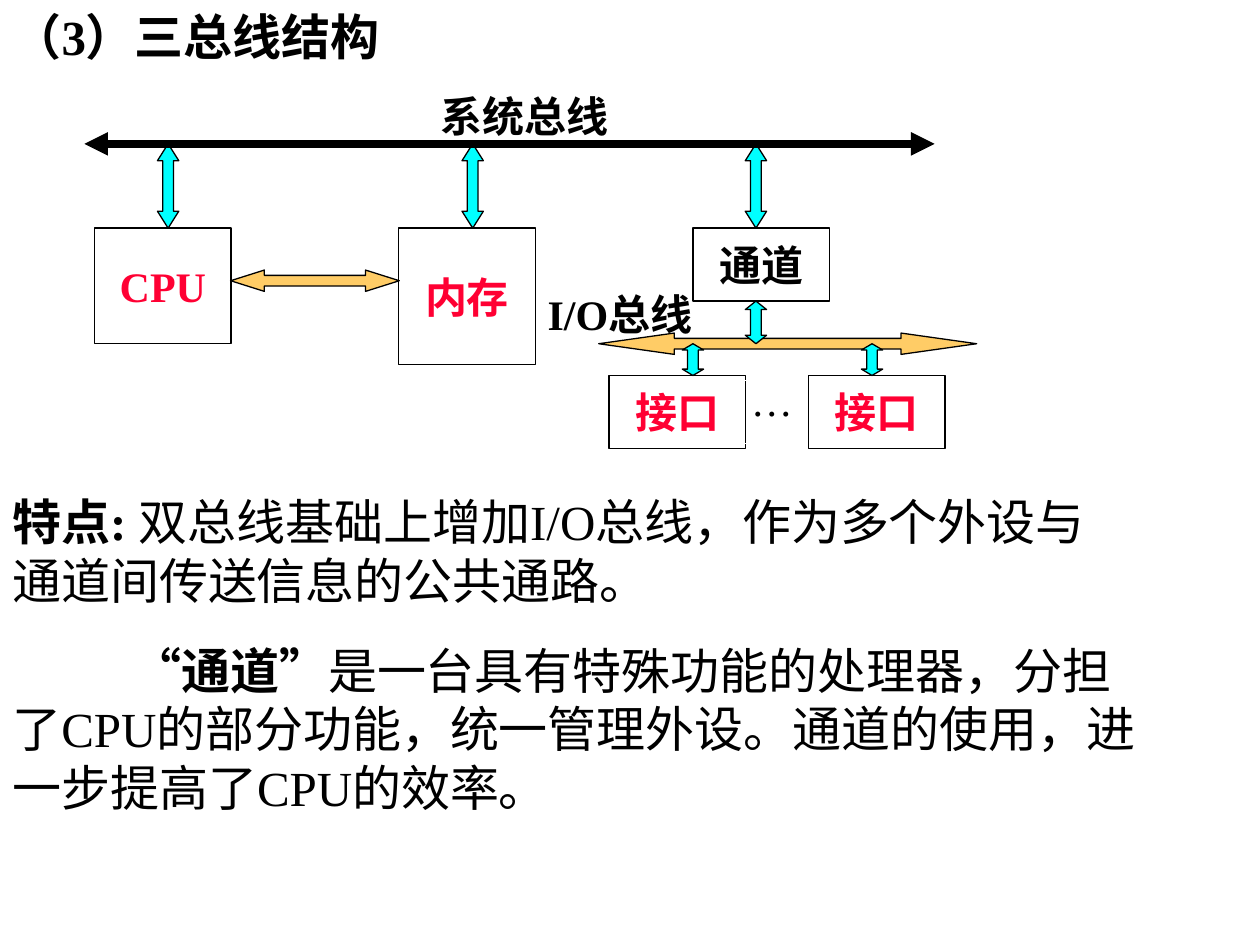
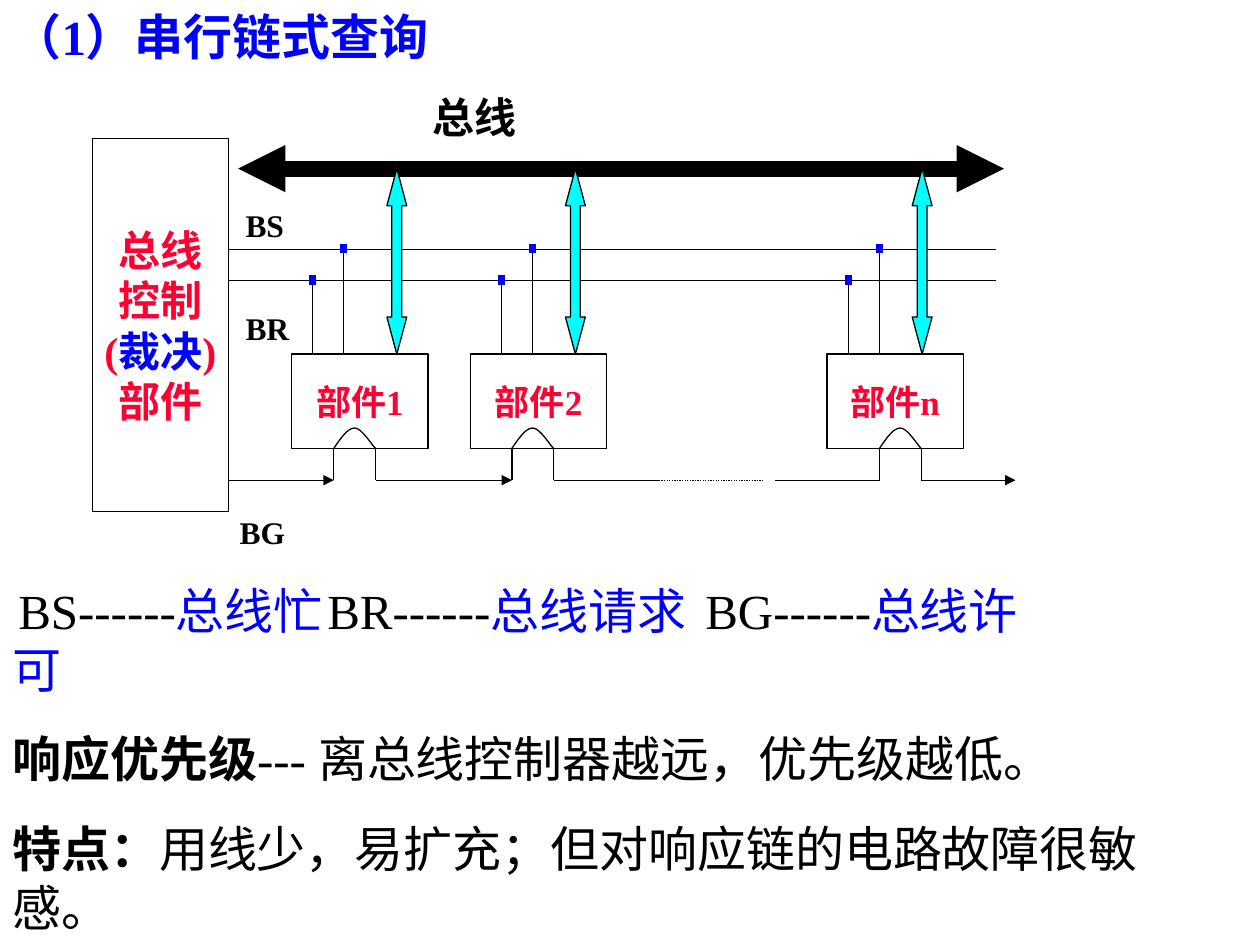
from dataclasses import dataclass

import lxml.etree
import pptx
import pptx.dml.color
import pptx.enum.dml
import pptx.enum.shapes
import pptx.enum.text
import pptx.oxml.ns
import pptx.util
from pptx.util import Cm

# Shared style
BLACK = pptx.dml.color.RGBColor(0x00, 0x00, 0x00)
WHITE = pptx.dml.color.RGBColor(0xFF, 0xFF, 0xFF)
RED = pptx.dml.color.RGBColor(0xFF, 0x00, 0x33)
BLUE = pptx.dml.color.RGBColor(0x00, 0x00, 0xFF)
CYAN = pptx.dml.color.RGBColor(0x00, 0xFF, 0xFF)
ORANGE = pptx.dml.color.RGBColor(0xFF, 0xCC, 0x66)
FONT = "Times New Roman"
BODY_SIZE = 28
BODY_GAP = 17.5
THIN = 0.75
ARROW_WIDTH = 0.43
BOX_WIDTH = 2.75
LINE_BREAK = "\n"
SHAPES = pptx.enum.shapes.MSO_SHAPE


@dataclass(frozen=True)
class Run:
    text: str
    color: pptx.dml.color.RGBColor = BLACK
    bold: bool = False
    size: float = BODY_SIZE


@dataclass(frozen=True)
class Paragraph:
    runs: tuple[Run, ...]
    indent: float = 0
    tabs: tuple[float, ...] = ()


@dataclass(frozen=True)
class Area:
    left: float
    top: float
    width: float
    height: float

    def lengths(self) -> tuple:
        return Cm(self.left), Cm(self.top), Cm(self.width), Cm(self.height)


@dataclass(frozen=True)
class Unit:
    """A bus unit: its box and the positions of its signal lines."""
    name: str
    left: float
    request: float
    busy: float
    data: float
    grant: float


def label(text: str, size: float = 24, color=BLACK, bold: bool = True) -> list[Paragraph]:
    return [Paragraph((Run(text, color, bold, size),))]


# Drawing functions
def add_element(parent, tag: str, **attributes: str):
    return lxml.etree.SubElement(parent, pptx.oxml.ns.qn(tag), **attributes)


def write(text_frame, paragraphs: list[Paragraph], gap: float = 0, centered: bool = False) -> None:
    alignment = pptx.enum.text.PP_ALIGN.CENTER if centered else pptx.enum.text.PP_ALIGN.LEFT
    for index, content in enumerate(paragraphs):
        paragraph = text_frame.add_paragraph() if index else text_frame.paragraphs[0]
        properties = paragraph._p.get_or_add_pPr()
        if content.indent:
            properties.set("indent", str(Cm(content.indent)))
        if content.tabs:
            tab_list = add_element(properties, "a:tabLst")
            for position in content.tabs:
                add_element(tab_list, "a:tab", pos=str(Cm(position)), algn="l")
        paragraph.alignment = alignment
        paragraph.space_before = pptx.util.Pt(gap if index else 0)
        for part in content.runs:
            if part.text == LINE_BREAK:
                paragraph.add_line_break()
                continue
            run = paragraph.add_run()
            run.text = part.text
            run.font.name = FONT
            run.font.size = pptx.util.Pt(part.size)
            run.font.bold = part.bold
            run.font.color.rgb = part.color


def add_text(slide, area: Area, paragraphs: list[Paragraph], gap: float = 0,
             border=None, wrap: bool = True) -> None:
    shape = slide.shapes.add_textbox(*area.lengths())
    shape.text_frame.word_wrap = wrap
    if border is not None:
        shape.line.color.rgb = border
        shape.line.width = pptx.util.Pt(THIN)
    write(shape.text_frame, paragraphs, gap)


def add_titled_slide(presentation, title: str, color):
    slide = presentation.slides.add_slide(presentation.slide_layouts.get_by_name("Title Only"))
    shape = slide.shapes.title
    shape.left, shape.top, shape.width, shape.height = Area(0, 0, 23.06, 1.5).lengths()
    shape.text_frame.auto_size = pptx.enum.text.MSO_AUTO_SIZE.NONE
    shape.text_frame.vertical_anchor = pptx.enum.text.MSO_ANCHOR.TOP
    write(shape.text_frame, label(title, BODY_SIZE, color))
    return slide


def add_preset(slide, kind, area: Area, fill):
    shape = slide.shapes.add_shape(kind, *area.lengths())
    shape.shadow.inherit = False
    shape.fill.solid()
    shape.fill.fore_color.rgb = fill
    shape.line.color.rgb = BLACK
    shape.line.width = pptx.util.Pt(THIN)
    return shape


def add_box(slide, area: Area, paragraphs: list[Paragraph]) -> None:
    shape = add_preset(slide, SHAPES.RECTANGLE, area, WHITE)
    shape.text_frame.word_wrap = False
    shape.text_frame.vertical_anchor = pptx.enum.text.MSO_ANCHOR.MIDDLE
    write(shape.text_frame, paragraphs, centered=True)


def add_block_arrow(slide, kind, area: Area, fill) -> None:
    """Double arrow whose heads each take a fifth of its length."""
    shape = add_preset(slide, kind, area, fill)
    longer, shorter = max(area.width, area.height), min(area.width, area.height)
    # The library names the guides of the vertical arrow wrongly, so they are set here
    guides = shape._element.spPr.find(pptx.oxml.ns.qn("a:prstGeom")).get_or_add_avLst()
    for guide in list(guides):
        guides.remove(guide)
    for name, ratio in (("adj1", 0.5), ("adj2", 0.2 * longer / shorter)):
        add_element(guides, "a:gd", name=name, fmla=f"val {round(ratio * 100000)}")


def add_vertical_arrow(slide, center: float, top: float, bottom: float,
                       width: float = ARROW_WIDTH) -> None:
    area = Area(center - width / 2, top, width, bottom - top)
    add_block_arrow(slide, SHAPES.UP_DOWN_ARROW, area, CYAN)


def add_horizontal_arrow(slide, left: float, right: float, center: float) -> None:
    area = Area(left, center - ARROW_WIDTH / 2, right - left, ARROW_WIDTH)
    add_block_arrow(slide, SHAPES.LEFT_RIGHT_ARROW, area, ORANGE)


def add_line(slide, start: tuple[float, float], end: tuple[float, float], width: float = THIN,
             color=BLACK, ends: tuple[str, ...] = (), dotted: bool = False) -> None:
    connector = slide.shapes.add_connector(
        pptx.enum.shapes.MSO_CONNECTOR.STRAIGHT, *(Cm(value) for value in start + end))
    connector.line.color.rgb = color
    connector.line.width = pptx.util.Pt(width)
    if dotted:
        connector.line.dash_style = pptx.enum.dml.MSO_LINE.ROUND_DOT
    line_element = connector.line._get_or_add_ln()
    for end_name in ends:
        add_element(line_element, f"a:{end_name}", type="triangle")
    add_element(connector._element.spPr, "a:effectLst")


BOTH_ENDS = ("headEnd", "tailEnd")
TAIL_END = ("tailEnd",)


def curve_points(controls: tuple, steps: int = 12) -> list[tuple[float, float]]:
    """Points of a cubic curve, without its start."""
    points = []
    for step in range(1, steps + 1):
        t = step / steps
        weights = ((1 - t) ** 3, 3 * t * (1 - t) ** 2, 3 * t ** 2 * (1 - t), t ** 3)
        points.append(tuple(sum(weight * control[axis] for weight, control in zip(weights, controls))
                            for axis in (0, 1)))
    return points


def add_arch(slide, area: Area) -> None:
    rise = ((0, 1), (0.17, 0.5), (0.33, 0), (0.5, 0))
    fall = ((0.5, 0), (0.67, 0), (0.9, 0.8), (1, 1))
    points = [(Cm(area.left + x * area.width), Cm(area.top + y * area.height))
              for x, y in curve_points(rise) + curve_points(fall)]
    builder = slide.shapes.build_freeform(Cm(area.left), Cm(area.top + area.height))
    builder.add_line_segments(points, close=False)
    shape = builder.convert_to_shape()
    shape.shadow.inherit = False
    shape.fill.background()
    shape.line.color.rgb = BLACK
    shape.line.width = pptx.util.Pt(THIN)


# Slide 1: three-bus structure
def build_three_bus_slide(presentation) -> None:
    slide = add_titled_slide(presentation, "（3）三总线结构", BLACK)
    system_bus, box_top, io_bus, interface_top = 2.9, 4.6, 6.93, 7.57
    channel_bottom = 6.07

    add_text(slide, Area(0, 9.79, 23.2, 6.7), [
        Paragraph((Run("特点: ", bold=True),
                   Run("双总线基础上增加I/O总线，作为多个外设与 通道间传送信息的公共通路。"))),
        Paragraph((Run("“通道”", bold=True),
                   Run("是一台具有特殊功能的处理器，分担了CPU的部分功能，统一管理外设。"
                       "通道的使用，进一步提高了CPU的效率。")), indent=2.42),
    ], BODY_GAP)
    add_text(slide, Area(10.79, 5.7, 3.61, 2.29), label("I/O总线"), border=WHITE)
    add_text(slide, Area(8.64, 1.7, 3.89, 1.27), label("系统总线"), wrap=False)

    # Boxes
    for name, color, left, top, height in (
        ("CPU", RED, 1.91, box_top, 2.33),
        ("内存", RED, 8.04, box_top, 2.75),
        ("通道", BLACK, 13.97, box_top, channel_bottom - box_top),
        ("接口", RED, 12.28, interface_top, 1.48),
        ("接口", RED, 16.3, interface_top, 1.48),
    ):
        add_box(slide, Area(left, top, BOX_WIDTH, height), label(name, color=color))
    add_text(slide, Area(14.89, 7.67, 1.35, 1.27), label("···", bold=False),
             border=WHITE, wrap=False)

    # Buses and the arrows that join them to the boxes
    add_horizontal_arrow(slide, 12.07, 19.69, io_bus)
    add_horizontal_arrow(slide, 4.65, 8.05, 5.66)
    for center in (3.39, 9.53, 15.24):
        add_vertical_arrow(slide, center, system_bus, box_top)
    add_vertical_arrow(slide, 15.24, channel_bottom, io_bus)
    for center in (13.97, 17.58):
        add_vertical_arrow(slide, center, io_bus, interface_top)
    add_line(slide, (1.7, system_bus), (18.84, system_bus), 4.5, ends=BOTH_ENDS)


# Slide 2: daisy-chain polling
UNITS = (
    Unit("部件1", 5.88, 6.3, 6.93, 8.0, 6.73),
    Unit("部件2", 9.48, 10.11, 10.74, 11.6, 10.32),
    Unit("部件n", 16.67, 17.1, 17.73, 18.59, 17.73),
)


def build_daisy_chain_slide(presentation) -> None:
    slide = add_titled_slide(presentation, "（1）串行链式查询", BLUE)
    bus, busy, request, unit_top, unit_bottom, grant = 3.4, 5.03, 5.66, 7.14, 9.04, 9.68
    controller_right, arch_width, arch_height = 4.6, 0.84, 0.41

    add_text(slide, Area(0, 11.58, 23.7, 7.4), [
        Paragraph((Run("BS------"), Run("总线忙", BLUE), Run("\tBR------"),
                   Run("总线请求", BLUE), Run("\tBG------"), Run("总线许", BLUE),
                   Run(LINE_BREAK), Run("可", BLUE)), indent=0.12, tabs=(7.18, 16)),
        Paragraph((Run("响应优先级", bold=True), Run("--- 离总线控制器越远，优先级越低。"))),
        Paragraph((Run("特点：", bold=True), Run("用线少，易扩充；但对响应链的电路故障很敏感。"))),
    ], BODY_GAP)
    for name, size, left, top in (("总线", 24, 8.47, 1.73), ("BS", 18, 4.7, 4.03),
                                  ("BR", 18, 4.7, 6.11), ("BG", 18, 4.58, 10.21)):
        add_text(slide, Area(left, top, 2.5, 1), label(name, size), wrap=False)

    # Controller and bus lines
    bracket = (Run("(", RED, True, 24), Run("裁决", BLUE, True, 24), Run(")", RED, True, 24))
    add_box(slide, Area(1.86, 2.8, BOX_WIDTH, 7.52),
            label("总线", color=RED) + label("控制", color=RED)
            + [Paragraph(bracket)] + label("部件", color=RED))
    add_line(slide, (4.8, bus), (20.24, bus), 9, ends=BOTH_ENDS)
    for signal in (busy, request):
        add_line(slide, (controller_right, signal), (20.07, signal))

    # Units with their signal lines, junction dots and grant arches
    for unit in UNITS:
        add_box(slide, Area(unit.left, unit_top, BOX_WIDTH, unit_bottom - unit_top),
                label(unit.name, 20, RED))
        for x, signal in ((unit.request, request), (unit.busy, busy)):
            add_line(slide, (x, signal), (x, unit_top))
            add_line(slide, (x, signal - 0.12), (x, signal + 0.08), 4, BLUE)
        add_vertical_arrow(slide, unit.data, bus, unit_top, 0.4)
        add_arch(slide, Area(unit.grant, unit_bottom - arch_height, arch_width, arch_height))
        for x in (unit.grant, unit.grant + arch_width):
            add_line(slide, (x, unit_bottom), (x, grant))

    # Grant chain
    first, second, last = (unit.grant for unit in UNITS)
    for start, end, ends, dotted in (
        (controller_right, first, TAIL_END, False),
        (first + arch_width, second, TAIL_END, False),
        (second + arch_width, 13.28, (), False),
        (13.28, 15.39, (), True),
        (15.62, last, (), False),
        (last + arch_width, 20.47, TAIL_END, False),
    ):
        add_line(slide, (start, grant), (end, grant), ends=ends, dotted=dotted)


def main() -> None:
    presentation = pptx.Presentation()
    presentation.slide_width, presentation.slide_height = Cm(25.4), Cm(19.05)
    build_three_bus_slide(presentation)
    build_daisy_chain_slide(presentation)
    presentation.save("out.pptx")


if __name__ == "__main__":
    main()
